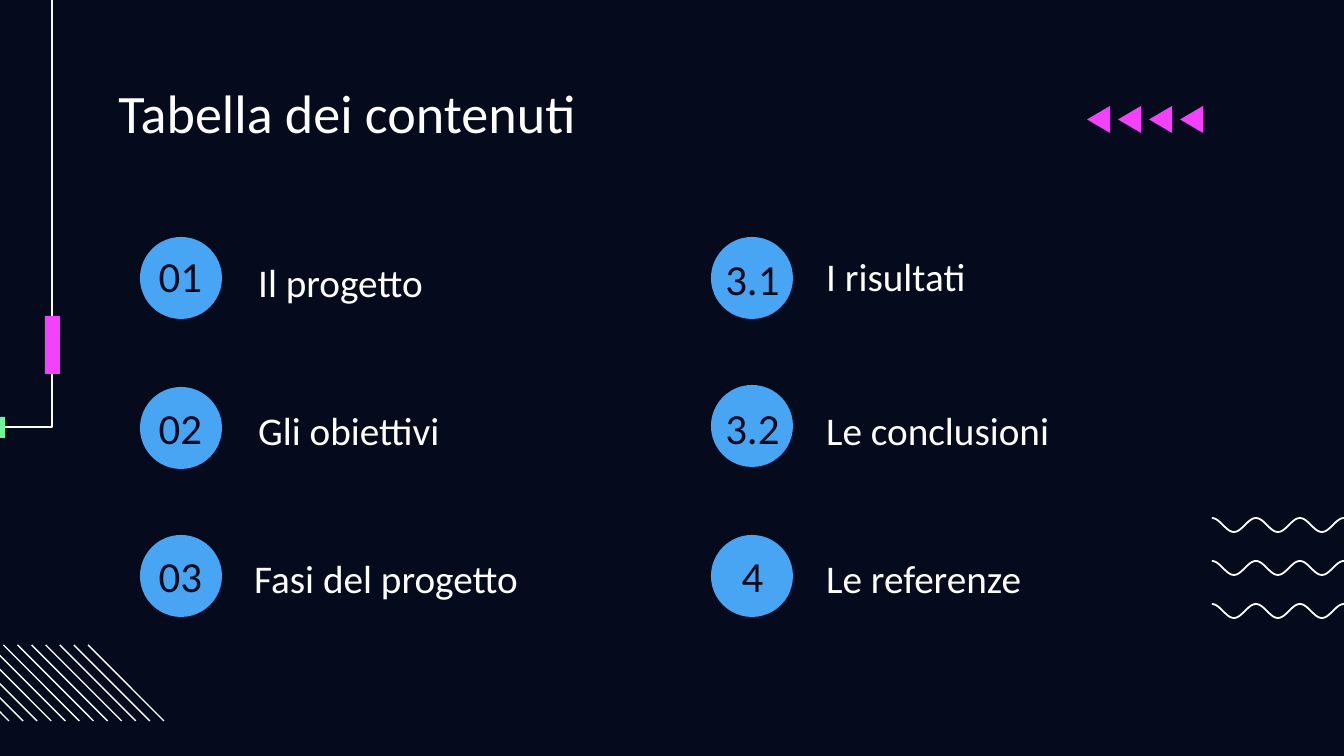
import math
from lxml import etree
from pptx import Presentation
from pptx import util as u
from pptx.dml.color import RGBColor
from pptx.enum import shapes, text
from pptx.oxml.ns import qn

NAVY = RGBColor(0x05, 0x0B, 0x1C)
WHITE = RGBColor(0xFF, 0xFF, 0xFF)
BLUE = RGBColor(0x47, 0xA5, 0xF3)
PINK = RGBColor(0xF3, 0x41, 0xFF)
GREEN = RGBColor(0x72, 0xF4, 0x9A)
FONT = "Calibri"
PX = 914400 / 134.4

TITLE = "Tabella dei contenuti"
# number, label, circle corner, number box corner, label box corner
ENTRIES = [
    ("01", "Il progetto", (140, 237), (120, 223), (245, 251)),
    ("02", "Gli obiettivi", (140, 387), (120, 375), (245, 399)),
    ("03", "Fasi del progetto", (140, 535), (120, 523), (241, 547)),
    ("3.1", "I risultati", (711, 237), (692, 226), (813, 245)),
    ("3.2", "Le conclusioni", (711, 385), (692, 375), (813, 399)),
    ("4", "Le referenze", (711, 535), (692, 523), (813, 547)),
]
CIRCLE = 82
NUMBER_SIZE = (121, 82)
LABEL_SIZE = (425, 52)

WAVE_LEFT, WAVE_HALF, WAVE_COUNT, WAVE_HEIGHT = 1212, 22, 7, 14
WAVE_TOPS = (518, 561, 604)
WAVE_STEPS = 12
HATCH_LEFT, HATCH_SPAN, HATCH_COUNT, HATCH_TOP, HATCH_SIDE = -67, 155, 12, 645, 76
ARROW_LEFT, ARROW_STEP, ARROW_COUNT = 1087, 31, 4
ARROW_TOP, ARROW_WIDTH, ARROW_HEIGHT = 106, 23, 27


def px(*lengths):
    return [u.Emu(round(length * PX)) for length in lengths]


def paint(shape, fill=None, line=None, width=0.75):
    shape.shadow.inherit = False
    if fill is None:
        shape.fill.background()
    else:
        shape.fill.solid()
        shape.fill.fore_color.rgb = fill
    if line is None:
        shape.line.fill.background()
    else:
        shape.line.color.rgb = line
        shape.line.width = u.Pt(width)


def add_preset(page, kind, x, y, w, h, fill):
    paint(page.shapes.add_shape(kind, *px(x, y, w, h)), fill)


def add_outline(page, points, close=False, **look):
    corners = [px(*point) for point in points]
    builder = page.shapes.build_freeform(*corners[0])
    builder.add_line_segments(corners[1:], close=close)
    paint(builder.convert_to_shape(), **look)


def add_line(page, x1, y1, x2, y2):
    line = page.shapes.add_connector(
        shapes.MSO_CONNECTOR.STRAIGHT, *px(x1, y1, x2, y2))
    line.line.color.rgb = WHITE
    line.line.width = u.Pt(0.75)
    etree.SubElement(line._element.spPr, qn("a:effectLst"))


def write(box, words, size, color=WHITE, align=text.PP_ALIGN.LEFT,
          top=0, spacing=None, after=None):
    frame = box.text_frame
    frame.word_wrap = True
    frame.auto_size = text.MSO_AUTO_SIZE.NONE
    frame.vertical_anchor = text.MSO_ANCHOR.TOP
    frame.margin_left = frame.margin_right = frame.margin_bottom = u.Inches(0.1)
    frame.margin_top = u.Inches(top)
    para = frame.paragraphs[0]
    para.alignment = align
    para.line_spacing = spacing
    para.space_after = after
    span = para.add_run()
    span.text = words
    span.font.name = FONT
    span.font.size = u.Pt(size)
    span.font.color.rgb = color


def add_decoration(page):
    wave_points = WAVE_COUNT * WAVE_STEPS + 1
    for top in WAVE_TOPS:
        add_outline(page, [
            (WAVE_LEFT + WAVE_HALF * i / WAVE_STEPS,
             top + WAVE_HEIGHT * (1 - math.cos(math.pi * i / WAVE_STEPS)) / 2)
            for i in range(wave_points)], line=WHITE, width=0.95)

    for i in range(HATCH_COUNT):
        x = HATCH_LEFT + HATCH_SPAN * i / (HATCH_COUNT - 1)
        add_line(page, x, HATCH_TOP, x + HATCH_SIDE, HATCH_TOP + HATCH_SIDE)

    add_outline(page, [(-528, 427), (52, 427), (52, -30)], line=WHITE)
    add_preset(page, shapes.MSO_SHAPE.RECTANGLE, -16, 417, 21, 21, GREEN)
    add_preset(page, shapes.MSO_SHAPE.RECTANGLE, 45, 316, 15, 58, PINK)

    for i in range(ARROW_COUNT):
        tip = ARROW_LEFT + ARROW_STEP * i
        back = tip + ARROW_WIDTH
        add_outline(page, [(back, ARROW_TOP), (tip, ARROW_TOP + ARROW_HEIGHT / 2),
                           (back, ARROW_TOP + ARROW_HEIGHT)], close=True, fill=PINK)


def add_entry(page, number, label, circle, number_at, label_at):
    add_preset(page, shapes.MSO_SHAPE.OVAL, *circle, CIRCLE, CIRCLE, BLUE)
    write(page.shapes.add_textbox(*px(*number_at, *NUMBER_SIZE)), number, 23,
          color=NAVY, align=text.PP_ALIGN.CENTER, top=0.2)
    write(page.shapes.add_textbox(*px(*label_at, *LABEL_SIZE)), label, 21,
          spacing=1.15, after=u.Pt(12))


def main():
    deck = Presentation()
    deck.slide_width, deck.slide_height = px(1344, 756)
    page = deck.slides.add_slide(deck.slide_layouts.get_by_name("Title Only"))
    page.background.fill.solid()
    page.background.fill.fore_color.rgb = NAVY

    title = page.shapes.title
    title.left, title.top, title.width, title.height = px(105, 79, 1134, 62)
    write(title, TITLE, 29)
    add_decoration(page)
    for entry in ENTRIES:
        add_entry(page, *entry)
    deck.save("out.pptx")


if __name__ == "__main__":
    main()
